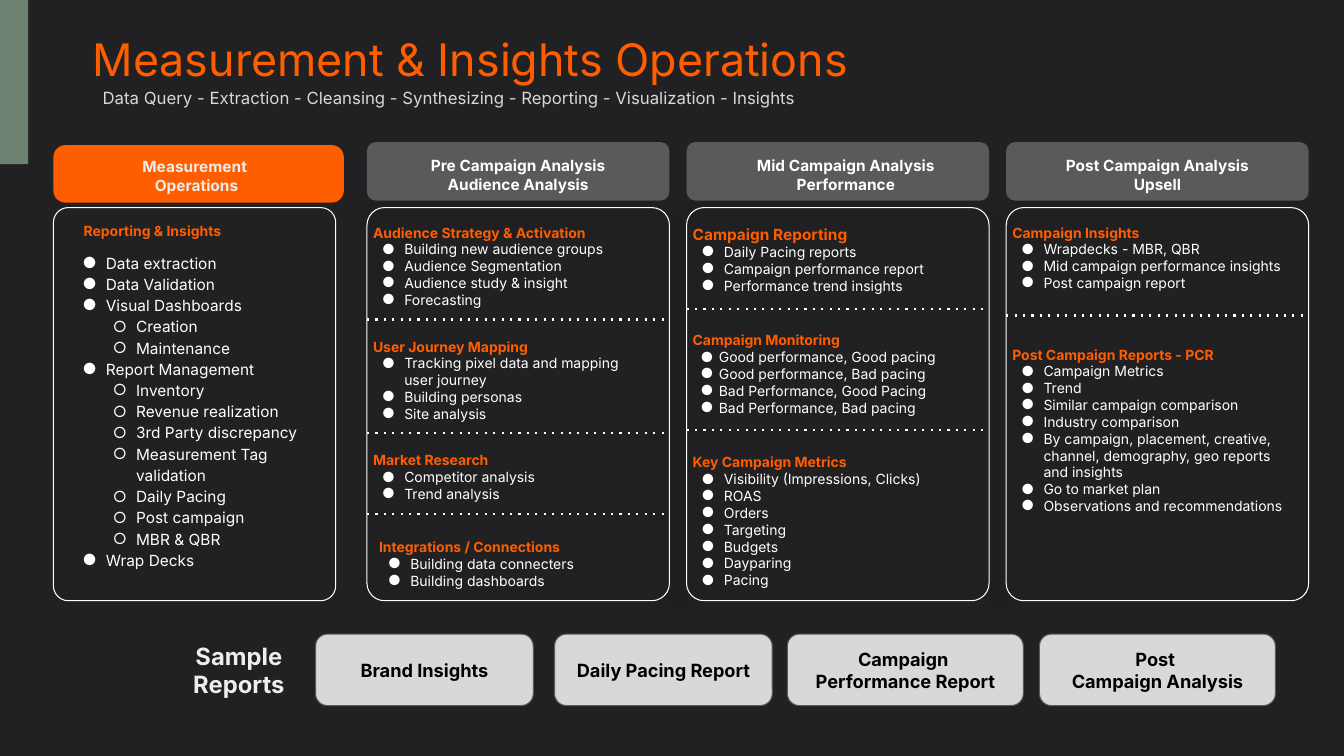
from copy import deepcopy
from dataclasses import dataclass
from lxml.etree import SubElement
from pptx import Presentation
from pptx.dml.color import RGBColor
from pptx.enum.shapes import MSO_CONNECTOR, MSO_SHAPE
from pptx.enum.text import MSO_ANCHOR, MSO_AUTO_SIZE, PP_ALIGN
from pptx.oxml.ns import qn
from pptx.util import Inches, Pt


@dataclass(frozen=True)
class Theme:
    font: str = "Inter"
    back: str = "212124"
    sage: str = "6B8271"
    hot: str = "FE5E00"
    slate: str = "585A5C"
    edge: str = "595959"
    mist: str = "D8D8D8"
    pale: str = "EEEEEE"
    white: str = "FFFFFF"
    black: str = "000000"
    title: int = 32
    label: int = 17
    card: int = 13
    sub: int = 12
    head: int = 11
    text: int = 10


THEME = Theme()

COLUMNS = [
    ("Pre Campaign Analysis\nAudience Analysis", 0.33, 2.34, [3.17, 4.3, 5.1], [
        (2.14, 2.88, 0.93, "Audience Strategy & Activation",
         ["Building new audience groups", "Audience Segmentation",
          "Audience study & insight", "Forecasting"], {}),
        (3.27, 2.6, 0.93, "User Journey Mapping",
         ["Tracking pixel data and mapping user journey", "Building personas",
          "Site analysis"], {}),
        (4.4, 2.52, 0.59, "Market Research",
         ["Competitor analysis", "Trend analysis"], {}),
        (5.2, 2.8, 0.71, "Integrations / Connections",
         ["Building data connecters", "Building dashboards"], {"inset": 0.06}),
    ]),
    ("Mid Campaign Analysis\nPerformance", 0.18, 2.8, [3.07, 4.27], [
        (2.14, 2.88, 0.78, "Campaign Reporting",
         ["Daily Pacing reports", "Campaign performance report",
          "Performance trend insights"], {"size": THEME.head}),
        (3.21, 3.1, 0.93, "Campaign Monitoring",
         ["Good performance, Good pacing", "Good performance, Bad pacing",
          "Bad Performance, Good Pacing", "Bad Performance, Bad pacing"],
         {"left": 0.26, "hang": 0.18}),
        (4.42, 2.8, 1.43, "Key Campaign Metrics",
         ["Visibility (Impressions, Clicks)", "ROAS", "Orders", "Targeting",
          "Budgets", "Dayparing", "Pacing"], {}),
    ]),
    ("Post Campaign Analysis\nUpsell", 0.24, 2.52, [3.13], [
        (2.14, 2.88, 0.76, "Campaign Insights",
         ["Wrapdecks - MBR, QBR", "Mid campaign performance insights",
          "Post campaign report"], {}),
        (3.35, 2.82, 1.77, "Post Campaign Reports - PCR",
         ["Campaign Metrics", "Trend", "Similar campaign comparison",
          "Industry comparison",
          "By campaign, placement, creative, channel, demography, geo reports and insights",
          "Go to market plan", "Observations and recommendations"], {}),
    ]),
]

TASKS = [
    ("Data extraction", []),
    ("Data Validation", []),
    ("Visual Dashboards", ["Creation", "Maintenance"]),
    ("Report Management", ["Inventory", "Revenue realization", "3rd Party discrepancy",
                           "Measurement Tag validation", "Daily Pacing",
                           "Post campaign", "MBR & QBR"]),
    ("Wrap Decks", []),
]

CARDS = [
    (3.13, 2.16, "Brand Insights"),
    (5.5, 2.16, "Daily Pacing Report"),
    (7.81, 2.34, "Campaign \nPerformance Report"),
    (10.31, 2.34, "Post \nCampaign Analysis"),
]


def style(item, values):
    for name, value in values.items():
        setattr(item, name, value)


def place(item, box):
    style(item, dict(zip(("left", "top", "width", "height"), map(Inches, box))))


def mark(para, sign, left, hang):
    props = para._p.get_or_add_pPr()
    props.set("marL", str(Inches(left)))
    props.set("indent", str(-Inches(hang)))
    tint = SubElement(props, qn("a:buClr"))
    SubElement(tint, qn("a:srgbClr"), val=THEME.white)
    SubElement(props, qn("a:buFont"), typeface=THEME.font)
    SubElement(props, qn("a:buChar"), char=sign)


def line(text, size, color, bold=False, align=PP_ALIGN.LEFT, gap=1.0, level=0, dot=None):
    return text, size, color, bold, dot, {
        "alignment": align, "line_spacing": gap, "level": level,
        "space_before": Pt(0), "space_after": Pt(0)}


def write(frame, lines, inset=0, grow=True, anchor=MSO_ANCHOR.TOP):
    style(frame, {"word_wrap": True, "vertical_anchor": anchor,
                  "auto_size": MSO_AUTO_SIZE.SHAPE_TO_FIT_TEXT if grow else MSO_AUTO_SIZE.NONE})
    style(frame, {f"margin_{side}": Inches(inset)
                  for side in ("left", "top", "right", "bottom")})
    for spot, (text, size, color, bold, dot, values) in enumerate(lines):
        para = frame.add_paragraph() if spot else frame.paragraphs[0]
        para.text = text
        style(para, values)
        if dot:
            mark(para, *dot)
        for run in para.runs:
            style(run.font, {"name": THEME.font, "size": Pt(size), "bold": bold})
            run.font.color.rgb = RGBColor.from_string(color)
        for rift in para._p.findall(qn("a:br")):
            rift.append(deepcopy(para.runs[0]._r.rPr))


def label(slide, box, lines, **form):
    item = slide.shapes.add_textbox(*map(Inches, box))
    write(item.text_frame, lines, **form)


def block(slide, box, fill=None, edge=None, bend=None):
    kind = MSO_SHAPE.RECTANGLE if bend is None else MSO_SHAPE.ROUNDED_RECTANGLE
    item = slide.shapes.add_shape(kind, *map(Inches, box))
    item.shadow.inherit = False
    if bend is not None:
        item.adjustments[0] = bend
    if fill:
        item.fill.solid()
        item.fill.fore_color.rgb = RGBColor.from_string(fill)
    else:
        item.fill.background()
    if edge:
        item.line.color.rgb = RGBColor.from_string(edge)
        item.line.width = Pt(0.75)
    else:
        item.line.fill.background()
    return item


def shade(item):
    glow = SubElement(item._element.spPr.find(qn("a:effectLst")), qn("a:outerShdw"),
                      blurRad=str(Pt(30)), dist=str(Pt(6)), dir="5400000")
    tint = SubElement(glow, qn("a:srgbClr"), val=THEME.black)
    SubElement(tint, qn("a:alpha"), val="15000")


def rule(slide, left, top, width):
    item = slide.shapes.add_connector(
        MSO_CONNECTOR.STRAIGHT, *map(Inches, (left, top, left + width, top)))
    item.line.color.rgb = RGBColor.from_string(THEME.white)
    item.line.width = Pt(1.5)
    props = item._element.spPr
    SubElement(props.find(qn("a:ln")), qn("a:prstDash"), val="dot")
    SubElement(props, qn("a:effectLst"))


def topic(slide, left, part):
    top, width, height, head, items, form = part
    dot = ("●", form.get("left", 0.31), form.get("hang", 0.22))
    lines = [line(head, form.get("size", THEME.text), THEME.hot, True, gap=1.5)]
    lines += [line(item, THEME.text, THEME.white, dot=dot) for item in items]
    label(slide, (left, top, width, height), lines, inset=form.get("inset", 0))


def column(slide, left, data):
    head, shift, width, rules, parts = data
    block(slide, (left, 1.41, 3, 0.58), THEME.slate, bend=0.15)
    label(slide, (left + shift, 1.49, width, 0.49),
          [line(text, THEME.head, THEME.white, True, PP_ALIGN.CENTER)
           for text in head.split("\n")], inset=0.06)
    shade(block(slide, (left, 2.06, 3, 3.9), edge=THEME.white, bend=0.058))
    for part in parts:
        topic(slide, left + 0.06, part)
    for top in rules:
        rule(slide, left, top, 3)


def tasks(slide, body):
    block(slide, (0.53, 2.06, 2.8, 3.9), edge=THEME.white, bend=0.053)
    block(slide, (0.53, 1.44, 2.88, 0.57), THEME.hot, bend=0.206)
    label(slide, (0.76, 1.56, 2.38, 0.37),
          [line("Measurement \nOperations", THEME.head, THEME.pale, True, PP_ALIGN.CENTER)],
          grow=False)
    label(slide, (0.82, 2.2, 2.16, 0.19),
          [line("Reporting & Insights", THEME.text, THEME.hot, True)], inset=0.01)
    lines = []
    for task, steps in TASKS:
        lines.append(line(task, THEME.head, THEME.white, gap=1.15, dot=("●", 0.31, 0.23)))
        lines += [line(step, THEME.head, THEME.white, gap=1.15, level=1,
                       dot=("○", 0.61, 0.23)) for step in steps]
    place(body, (0.68, 2.43, 2.34, 3.29))
    write(body.text_frame, lines, inset=0.06)


def card(slide, left, width, text):
    item = block(slide, (left, 6.29, width, 0.71), THEME.mist, THEME.edge, 0.167)
    write(item.text_frame, [line(text, THEME.card, THEME.black, True, PP_ALIGN.CENTER)],
          inset=0.1, grow=False, anchor=MSO_ANCHOR.MIDDLE)


def main():
    deck = Presentation()
    style(deck, {"slide_width": Inches(13.33), "slide_height": Inches(7.5)})
    slide = deck.slides.add_slide(deck.slide_layouts[1])
    slide.background.fill.solid()
    slide.background.fill.fore_color.rgb = RGBColor.from_string(THEME.back)
    title, body = slide.placeholders
    place(title, (0.92, 0.23, 11.5, 0.6))
    write(title.text_frame, [line("Measurement & Insights Operations", THEME.title,
                                  THEME.hot, gap=1.15)], grow=False)
    block(slide, (0, 0, 0.28, 1.63), THEME.sage)
    label(slide, (0.92, 0.77, 11.5, 0.4),
          [line("Data Query - Extraction - Cleansing - Synthesizing - Reporting"
                " - Visualization - Insights", THEME.sub, THEME.mist)], inset=0.1)
    tasks(slide, body)
    for spot, data in enumerate(COLUMNS):
        column(slide, 3.64 + 3.17 * spot, data)
    label(slide, (1.59, 6.36, 1.56, 0.57),
          [line("Sample Reports", THEME.label, THEME.pale, True, PP_ALIGN.CENTER)],
          anchor=MSO_ANCHOR.MIDDLE)
    for data in CARDS:
        card(slide, *data)
    deck.save("out.pptx")


if __name__ == "__main__":
    main()
